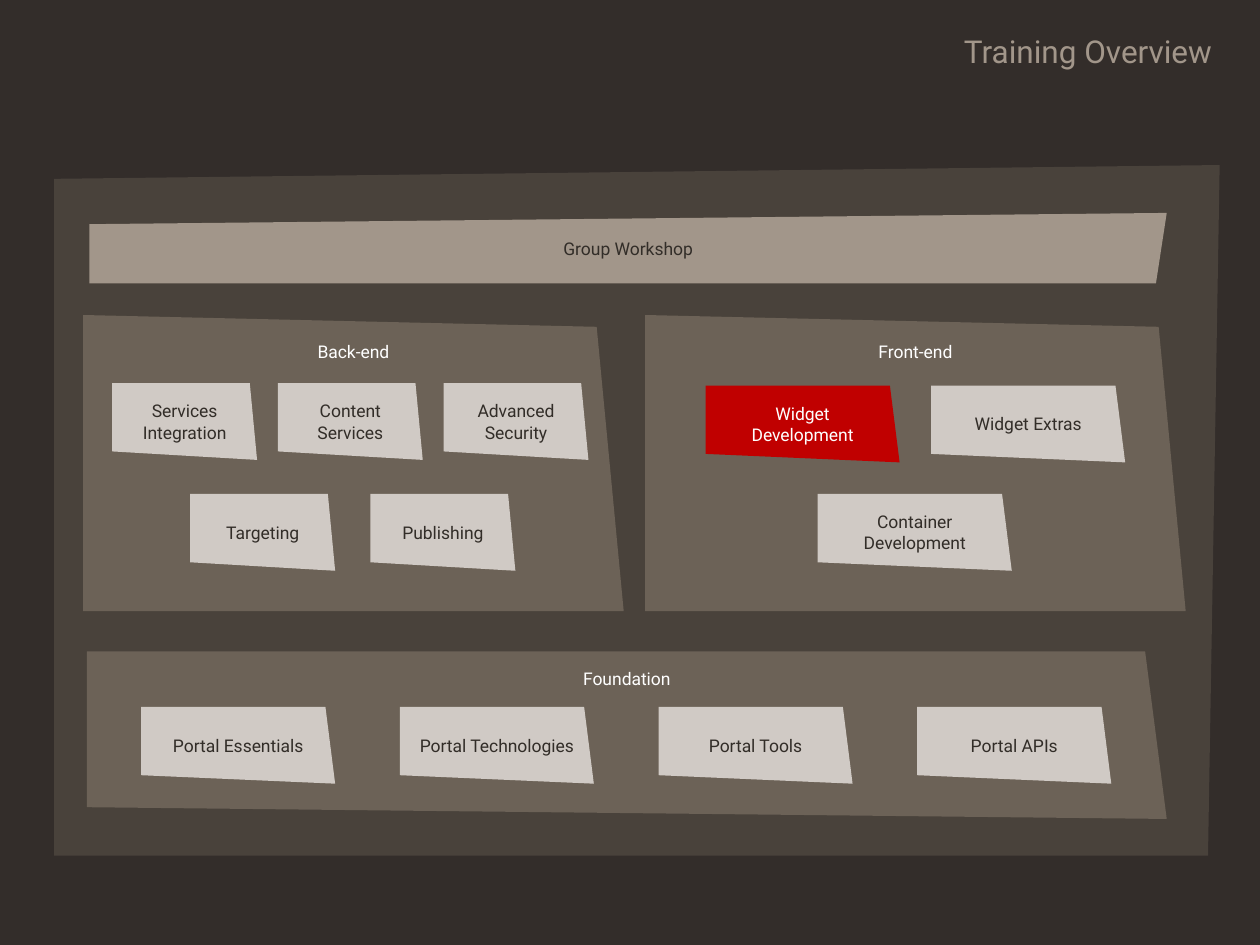
from dataclasses import dataclass

from pptx import Presentation
from pptx import util as u
from pptx.dml import color
from pptx.enum import text


@dataclass(frozen=True)
class Theme:
    font: str = "Roboto"
    title_size: int = 18
    label_size: int = 10
    background: str = "332D2A"
    frame: str = "49423B"
    panel: str = "6C6257"
    card: str = "D0CAC5"
    accent: str = "A2968A"
    highlight: str = "C00000"
    dark_text: str = "322D28"
    light_text: str = "FFFFFF"


@dataclass(frozen=True)
class Row:
    first: float
    last: float
    top: float
    width: float
    labels: tuple


THEME = Theme()
CARD_HEIGHT = 0.61
NARROW, WIDE = 1.15, 1.54
HIGHLIGHTED = "Widget\nDevelopment"

FRAME_CORNERS = ((0, 0.02), (1, 0), (0.99, 1), (0, 1))
WORKSHOP_CORNERS = ((0, 0.16), (1, 0), (0.99, 1), (0, 1))
TRACK_CORNERS = ((0, 0), (0.95, 0.04), (1, 1), (0, 1))
FOUNDATION_CORNERS = ((0, 0), (0.98, 0), (1, 1), (0, 0.93))
CARD_CORNERS = ((0, 0), (0.95, 0), (1, 1), (0, 0.89))

BACK_END_ROWS = (
    Row(0.23, 2.86, 0.54, NARROW,
        ("Services\nIntegration", "Content\nServices", "Advanced\nSecurity")),
    Row(0.85, 2.28, 1.42, NARROW, ("Targeting", "Publishing")),
)
FRONT_END_ROWS = (
    Row(0.48, 2.27, 0.56, WIDE, (HIGHLIGHTED, "Widget Extras")),
    Row(1.37, 1.37, 1.42, WIDE, ("Container\nDevelopment",)),
)
FOUNDATION_ROWS = (
    Row(0.43, 6.59, 0.44, WIDE,
        ("Portal Essentials", "Portal Technologies", "Portal Tools", "Portal APIs")),
)


def set_attributes(target, values):
    for name, value in values.items():
        setattr(target, name, value)


def style_text(shape, size, ink, alignment):
    for paragraph in shape.text_frame.paragraphs:
        paragraph.alignment = alignment
        set_attributes(paragraph.font, {"name": THEME.font, "size": u.Pt(size)})
        paragraph.font.color.rgb = color.RGBColor.from_string(ink)


def add_slanted_shape(shapes, box, corners, fill, label="", ink=THEME.dark_text,
                      anchor=text.MSO_ANCHOR.MIDDLE, top_margin=0.05):
    left, top, width, height = box
    points = [(u.Inches(left + x * width), u.Inches(top + y * height)) for x, y in corners]
    builder = shapes.build_freeform(*points[0])
    builder.add_line_segments(points[1:], close=True)
    shape = builder.convert_to_shape()
    shape.shadow.inherit = False
    shape.fill.solid()
    shape.fill.fore_color.rgb = color.RGBColor.from_string(fill)
    shape.line.fill.background()
    if label:
        shape.text_frame.text = label
        set_attributes(shape.text_frame, {
            "word_wrap": False,
            "vertical_anchor": anchor,
            "margin_top": u.Inches(top_margin),
        })
        style_text(shape, THEME.label_size, ink, text.PP_ALIGN.CENTER)


def add_card_row(shapes, box, row):
    left, top, _, _ = box
    step = (row.last - row.first) / max(len(row.labels) - 1, 1)
    for index, label in enumerate(row.labels):
        card_box = (left + row.first + index * step, top + row.top, row.width, CARD_HEIGHT)
        fill, ink = THEME.card, THEME.dark_text
        if label == HIGHLIGHTED:
            fill, ink = THEME.highlight, THEME.light_text
        add_slanted_shape(shapes, card_box, CARD_CORNERS, fill, label, ink)


def add_panel(shapes, box, corners, heading, heading_margin, rows):
    add_slanted_shape(shapes, box, corners, THEME.panel, heading, THEME.light_text,
                      text.MSO_ANCHOR.TOP, heading_margin)
    for row in rows:
        add_card_row(shapes, box, row)


def add_title(slide, box):
    title = slide.shapes.title
    set_attributes(title, dict(zip(("left", "top", "width", "height"), map(u.Inches, box))))
    title.text_frame.text = "Training Overview"
    set_attributes(title.text_frame, {
        "word_wrap": True,
        "auto_size": text.MSO_AUTO_SIZE.NONE,
        "vertical_anchor": text.MSO_ANCHOR.MIDDLE,
    })
    style_text(title, THEME.title_size, THEME.accent, text.PP_ALIGN.RIGHT)


def add_training_map(slide, box):
    left, top, _, _ = box
    shapes = slide.shapes.add_group_shape().shapes
    add_slanted_shape(shapes, box, FRAME_CORNERS, THEME.frame)
    add_slanted_shape(shapes, (left + 0.28, top + 0.38, 8.55, 0.56), WORKSHOP_CORNERS,
                      THEME.accent, "Group Workshop")
    add_panel(shapes, (left + 0.23, top + 1.19, 4.29, 2.35), TRACK_CORNERS,
              "Back-end", 0.21, BACK_END_ROWS)
    add_panel(shapes, (left + 4.69, top + 1.19, 4.29, 2.35), TRACK_CORNERS,
              "Front-end", 0.21, FRONT_END_ROWS)
    add_panel(shapes, (left + 0.26, top + 3.86, 8.57, 1.33), FOUNDATION_CORNERS,
              "Foundation", 0.13, FOUNDATION_ROWS)


def main():
    presentation = Presentation()
    set_attributes(presentation, {"slide_width": u.Inches(10), "slide_height": u.Inches(7.5)})
    slide = presentation.slides.add_slide(presentation.slide_layouts[5])
    slide.background.fill.solid()
    slide.background.fill.fore_color.rgb = color.RGBColor.from_string(THEME.background)
    add_title(slide, (2.87, 0.2, 6.85, 0.4))
    add_training_map(slide, (0.43, 1.31, 9.25, 5.48))
    presentation.save("out.pptx")


if __name__ == "__main__":
    main()
